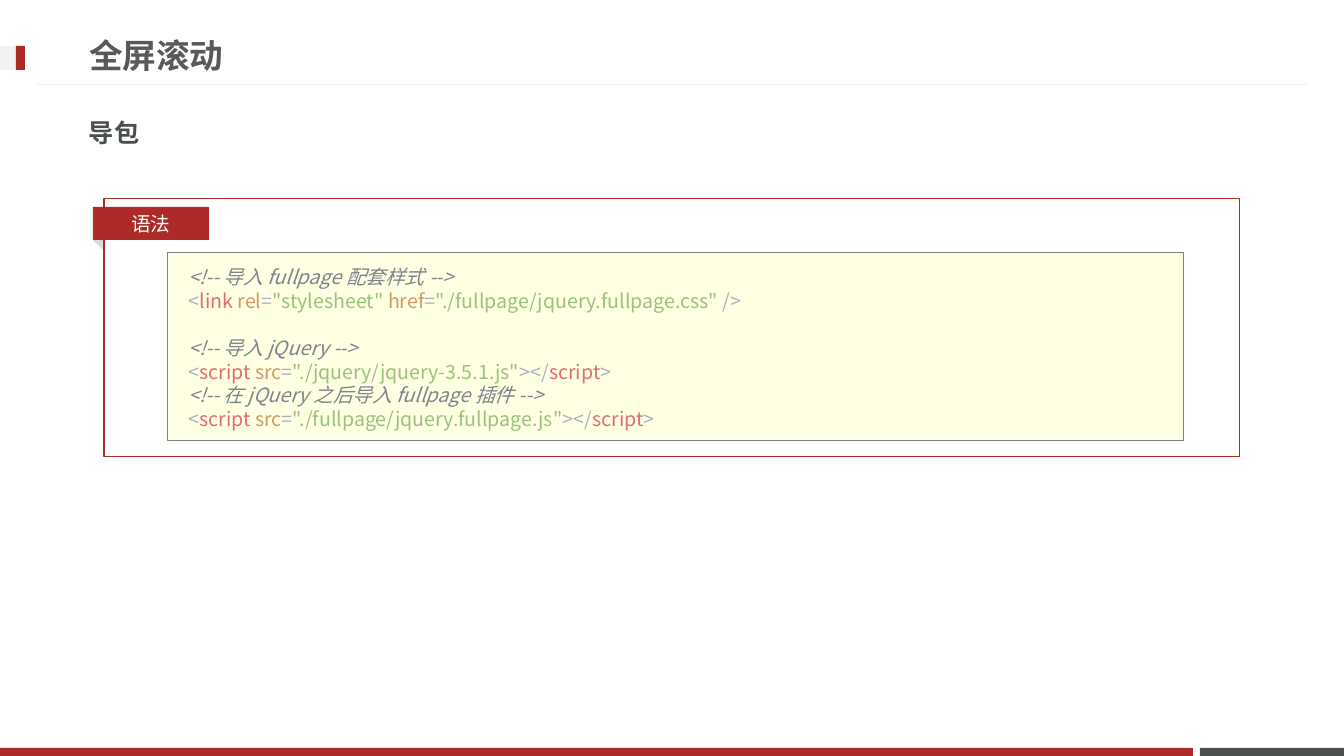
import pptx
import pptx.util
import pptx.dml.color
import pptx.enum.shapes
import pptx.enum.text
import pptx.oxml.ns
import lxml.etree

SHAPES = pptx.enum.shapes.MSO_SHAPE
ANCHOR = pptx.enum.text.MSO_ANCHOR
ALIGN = pptx.enum.text.PP_ALIGN
RED, SLATE, PALE = "AD2B26", "49504F", "F2F2F2"
PUNCTUATION, COMMENT, TAG, ATTRIBUTE, STRING = "ABB2BF", "7F848E", "E06C75", "D19A66", "98C379"
CODE_FONT = "Noto Sans CJK JP"
CODE_PITCH = pptx.util.Pt(16.9)
INDENT = " " * 4
NO_BREAK_SPACE = chr(160)


def px(length):
    return round(length * 914400 / 100.8)


def color(hex_string):
    return pptx.dml.color.RGBColor.from_string(hex_string)


def comment_line(text):
    return [(INDENT, PUNCTUATION), (f"<!-- {text} -->", COMMENT)]


def script_line(source):
    return [(INDENT + "<", PUNCTUATION), ("script ", TAG), ("src", ATTRIBUTE), ("=", PUNCTUATION),
            (f'"{source}"', STRING), ("></", PUNCTUATION), ("script", TAG), (">", PUNCTUATION)]


LINK_LINE = [(INDENT + "<", PUNCTUATION), ("link ", TAG), ("rel", ATTRIBUTE), ("=", PUNCTUATION),
             ('"stylesheet" ', STRING), ("href", ATTRIBUTE), ("=", PUNCTUATION),
             ('"./fullpage/jquery.fullpage.css"', STRING), (" />", PUNCTUATION)]
# Each block is separated from the next by one line of space.
CODE_BLOCKS = [
    [comment_line("导入 fullpage 配套样式"), LINK_LINE],
    [comment_line("导入 jQuery"), script_line("./jquery/jquery-3.5.1.js"),
     comment_line("在 jQuery 之后导入 fullpage 插件"), script_line("./fullpage/jquery.fullpage.js")],
]


class SlideBuilder:
    def __init__(self, presentation):
        self.slide = presentation.slides.add_slide(presentation.slide_layouts[5])

    def style(self, paragraph, size, font_name, font_color=None, bold=False):
        font = paragraph.font
        font.size, font.name, font.bold = pptx.util.Pt(size), font_name, bold
        if font_color:
            font.color.rgb = color(font_color)

    def shape(self, kind, left, top, width, height, fill=None, line=None, line_width=0.75):
        shape = self.slide.shapes.add_shape(kind, px(left), px(top), px(width), px(height))
        shape.shadow.inherit = False
        if fill:
            shape.fill.solid()
            shape.fill.fore_color.rgb = color(fill)
        else:
            shape.fill.background()
        if line:
            shape.line.color.rgb = color(line)
            shape.line.width = pptx.util.Pt(line_width)
        else:
            shape.line.fill.background()
        return shape

    def rectangle(self, *box, **look):
        return self.shape(SHAPES.RECTANGLE, *box, **look)

    def line(self, start, end, line_color):
        connector = self.slide.shapes.add_connector(
            pptx.enum.shapes.MSO_CONNECTOR.STRAIGHT, *map(px, start + end))
        connector.line.color.rgb = color(line_color)
        connector.line.width = pptx.util.Pt(0.75)
        lxml.etree.SubElement(connector._element.spPr, pptx.oxml.ns.qn("a:effectLst"))

    def set_text(self, shape, text, size, font_name, font_color, bold=False, alignment=ALIGN.LEFT):
        frame = shape.text_frame
        frame.text = text
        frame.word_wrap = True
        frame.auto_size = pptx.enum.text.MSO_AUTO_SIZE.NONE
        frame.vertical_anchor = ANCHOR.MIDDLE
        paragraph = frame.paragraphs[0]
        paragraph.alignment = alignment
        self.style(paragraph, size, font_name, font_color, bold)

    def title(self, text, left, top, width, height):
        title = self.slide.shapes.title
        title.left, title.top, title.width, title.height = map(px, (left, top, width, height))
        self.set_text(title, text, 24, "Calibri", "595959", bold=True)

    def text_box(self, left, top, width, height):
        return self.slide.shapes.add_textbox(px(left), px(top), px(width), px(height))

    def code(self, blocks, *box):
        frame = self.text_box(*box).text_frame
        frame.word_wrap = True
        for block_index, block in enumerate(blocks):
            for line_index, tokens in enumerate(block):
                first = block_index == line_index == 0
                paragraph = frame.paragraphs[0] if first else frame.add_paragraph()
                paragraph.line_spacing = CODE_PITCH
                if block_index and line_index == 0:
                    paragraph.space_before = CODE_PITCH
                self.style(paragraph, 14, CODE_FONT)
                for text, token_color in tokens:
                    run = paragraph.add_run()
                    run.text = text.replace(" ", NO_BREAK_SPACE)
                    run.font.color.rgb = color(token_color)
                    if token_color == COMMENT:
                        run.font.italic = True


def main():
    presentation = pptx.Presentation()
    presentation.slide_width, presentation.slide_height = px(1344), px(756)
    builder = SlideBuilder(presentation)

    builder.rectangle(1200, 748, 144, 8, fill=SLATE)
    builder.rectangle(0, 748, 1193, 8, fill=RED)
    builder.line((1308, 85), (36, 85), PALE)
    builder.rectangle(0, 46, 25, 24, fill=PALE)
    builder.rectangle(16, 46, 9, 24, fill=RED)

    builder.title("全屏滚动", 79, 27, 967, 57)
    subtitle = builder.text_box(79, 104, 1185, 57)
    builder.set_text(subtitle, "导包", 18, CODE_FONT, SLATE, bold=True)

    builder.rectangle(167, 252, 1016, 188, fill="FFFFE4", line="808080", line_width=0.25)
    fold = builder.shape(SHAPES.ISOSCELES_TRIANGLE, 94, 238, 16, 9, fill="D9D9D9")
    fold.rotation = 44.2
    builder.rectangle(104, 199, 1136, 258, line=RED)
    label = builder.rectangle(93, 207, 116, 33, fill=RED)
    builder.set_text(label, "语法", 14, "Calibri", "FFFFFF", alignment=ALIGN.CENTER)
    builder.code(CODE_BLOCKS, 161, 260, 727, 177)

    presentation.save("out.pptx")


if __name__ == "__main__":
    main()
